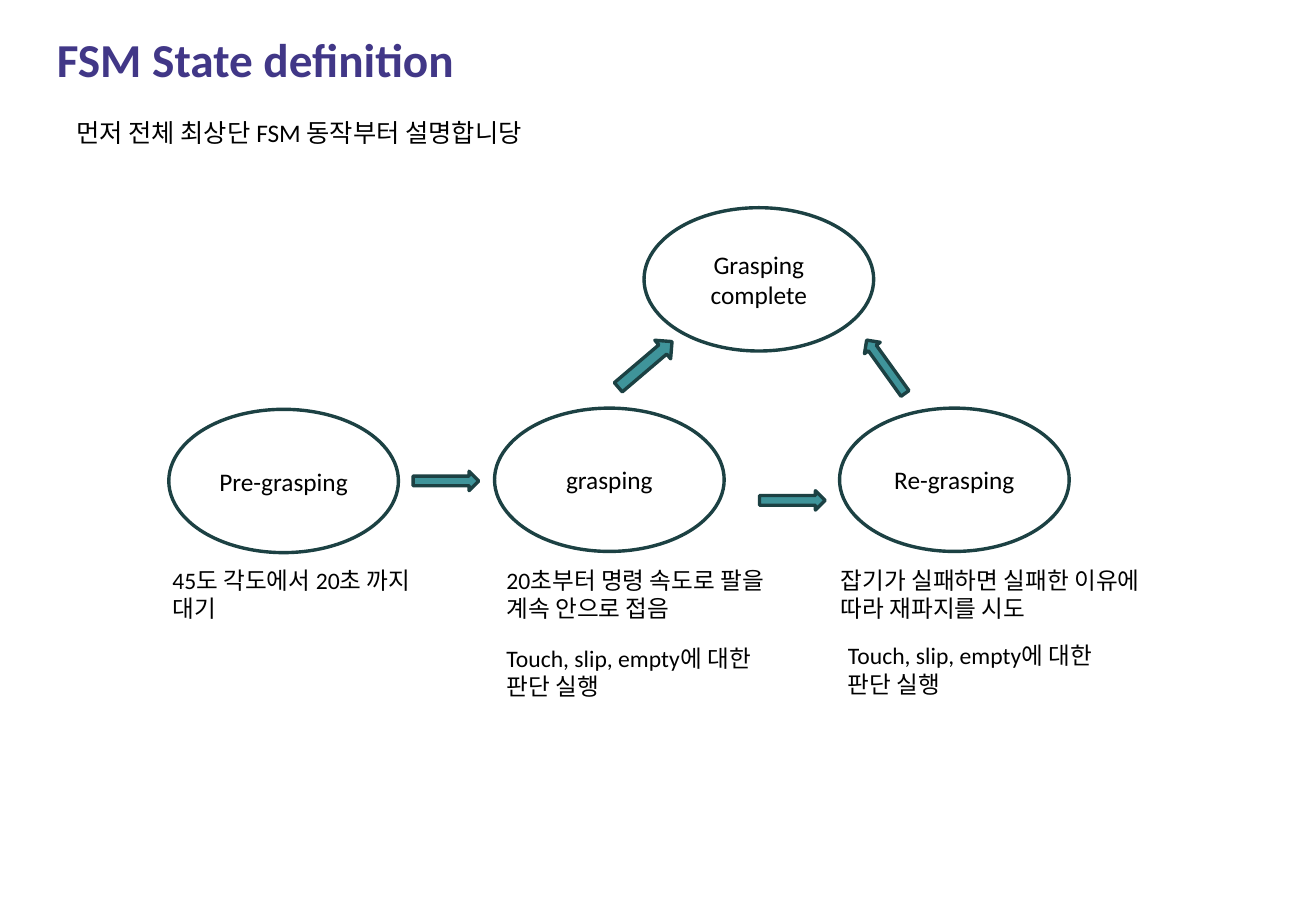
"""Build the FSM state definition slide."""
from dataclasses import dataclass

from pptx import Presentation
from pptx.dml.color import RGBColor as RGB
from pptx.enum.shapes import MSO_SHAPE as SHAPE
from pptx.enum.text import MSO_ANCHOR as ANCHOR, MSO_AUTO_SIZE as AUTO, PP_ALIGN as ALIGN
from pptx.util import Inches, Pt


@dataclass(frozen=True)
class Theme:
    """Colours, font and sizes of the slide."""
    font: str = "Calibri"
    title: RGB = RGB.from_string("413787")
    text: RGB = RGB.from_string("000000")
    line: RGB = RGB.from_string("1C4143")
    arrow: RGB = RGB.from_string("3F949A")
    title_size: Pt = Pt(28)
    body_size: Pt = Pt(15)
    note_size: Pt = Pt(14)
    line_width: Pt = Pt(2)


THEME = Theme()
WIDTH, HEIGHT = Inches(10.83), Inches(7.5)
STATE_W, STATE_H = 17.45, 15.73
ARROW_W, ARROW_H = 4.99, 2.13
NOTE_W, NOTE_H = 22.53, 7.6
NOTE_LEFT, NOTE_STEP, NOTE_TOP = 12.19, 25.39, 61.47
VERDICT = "Touch, slip, empty에 대한 판단 실행"

STATES = [
    ("Pre-grasping", 12.83, 44.93),
    ("grasping", 37.58, 44.8),
    ("Re-grasping", 63.8, 44.8),
    ("Grasping complete", 48.94, 22.8),
]
ARROWS = [
    (31.39, 51.73, ARROW_W, ARROW_H, 0),
    (57.71, 53.87, ARROW_W, ARROW_H, 0),
    (64.82, 39.2, ARROW_W, ARROW_H, 234.3),
    (46.35, 38.67, 5.36, 2.67, 319.6),
]
ACTIONS = [
    ("45도 각도에서 20초 까지 대기", NOTE_W),
    ("20초부터 명령 속도로 팔을 계속 안으로 접음", NOTE_W),
    ("잡기가 실패하면 실패한 이유에 따라 재파지를 시도", 27.79),
]
VERDICT_PLACES = [(37.58, 70), (63.53, 69.73)]


def place(x, y, w, h):
    """Turn percentages of the slide into lengths."""
    return [round(size * share / 100) for size, share in
            ((WIDTH, x), (HEIGHT, y), (WIDTH, w), (HEIGHT, h))]


def write(s, text, size, color=THEME.text, bold=False):
    """Put one formatted paragraph into a shape."""
    tf = s.text_frame
    tf.text = text
    tf.word_wrap = True
    font = tf.paragraphs[0].runs[0].font
    font.name, font.size, font.bold = THEME.font, size, bold
    font.color.rgb = color
    return tf


def add_text(slide, text, box, size, **style):
    """Add a left-aligned text box."""
    s = slide.shapes.add_textbox(*place(*box))
    write(s, text, size, **style).auto_size = AUTO.SHAPE_TO_FIT_TEXT


def add_outlined(slide, kind, box):
    """Add a preset shape with the common outline."""
    s = slide.shapes.add_shape(kind, *place(*box))
    s.shadow.inherit = False
    s.line.color.rgb = THEME.line
    s.line.width = THEME.line_width
    return s


def add_state(slide, name, x, y):
    """Add one state ellipse."""
    s = add_outlined(slide, SHAPE.OVAL, (x, y, STATE_W, STATE_H))
    s.fill.background()
    tf = write(s, name, THEME.body_size)
    tf.vertical_anchor = ANCHOR.MIDDLE
    tf.paragraphs[0].alignment = ALIGN.CENTER


def add_arrow(slide, x, y, w, h, angle):
    """Add one block arrow for a transition."""
    s = add_outlined(slide, SHAPE.RIGHT_ARROW, (x, y, w, h))
    s.fill.solid()
    s.fill.fore_color.rgb = THEME.arrow
    s.rotation = angle


def main():
    """Build and save the slide."""
    prs = Presentation()
    prs.slide_width, prs.slide_height = WIDTH, HEIGHT
    slide = prs.slides.add_slide(prs.slide_layouts[6])
    add_text(slide, "FSM State definition", (3.42, 2.67, 66.2, 7.6),
             THEME.title_size, color=THEME.title, bold=True)
    add_text(slide, "먼저 전체 최상단 FSM 동작부터 설명합니당",
             (4.89, 12.27, 53.09, 4.67), THEME.body_size)
    for state in STATES:
        add_state(slide, *state)
    for arrow in ARROWS:
        add_arrow(slide, *arrow)
    for i, (text, width) in enumerate(ACTIONS):
        box = (NOTE_LEFT + i * NOTE_STEP, NOTE_TOP, width, NOTE_H)
        add_text(slide, text, box, THEME.note_size)
    for x, y in VERDICT_PLACES:
        add_text(slide, VERDICT, (x, y, NOTE_W, NOTE_H), THEME.note_size)
    prs.save("out.pptx")


if __name__ == "__main__":
    main()
